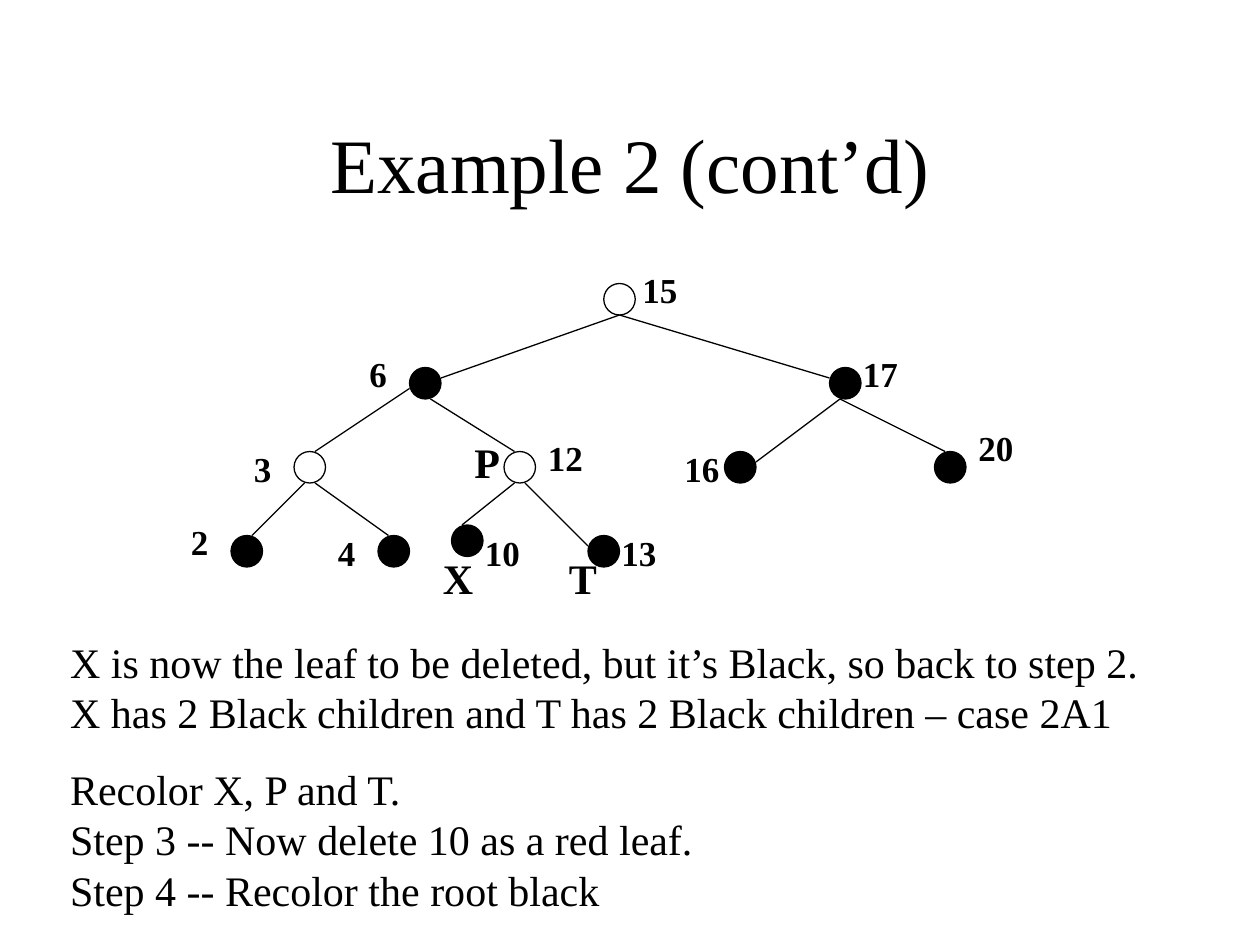
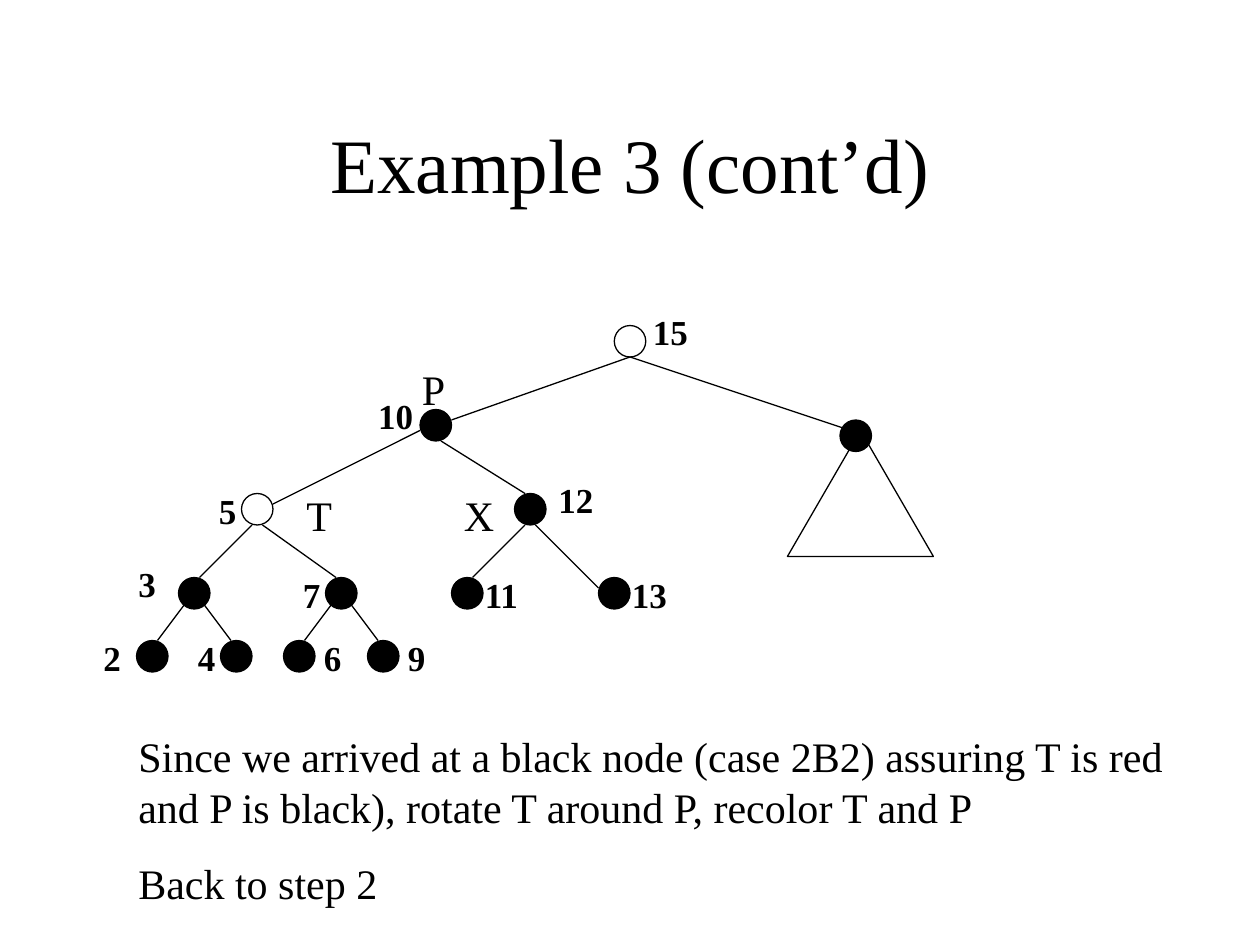
from pptx import Presentation
from pptx.dml.color import RGBColor
from pptx.enum.shapes import MSO_CONNECTOR, MSO_SHAPE
from pptx.enum.text import MSO_ANCHOR, PP_ALIGN
from pptx.oxml.ns import qn
from pptx.util import Inches, Pt
from lxml import etree

BLACK = RGBColor(0, 0, 0)
WHITE = RGBColor(255, 255, 255)
RED_NODE, BLACK_NODE = None, BLACK
FONT = "Times New Roman"
OVAL, TRIANGLE = MSO_SHAPE.OVAL, MSO_SHAPE.ISOSCELES_TRIANGLE
STRAIGHT = MSO_CONNECTOR.STRAIGHT
TOP, MIDDLE = MSO_ANCHOR.TOP, MSO_ANCHOR.MIDDLE
LEFT, CENTER = PP_ALIGN.LEFT, PP_ALIGN.CENTER

CELLS_PER_INCH = 12
COLUMNS, ROWS = 120, 90
NODE = 3
LINE_WIDTH = 0.75
TITLE_AREA = (9, 8, 102, 15)
LABEL_SIZE = (6, 5.25)
MARK_SIZE = (6, 6)

# Each node: key, position, colour, key position, edge from its parent
SLIDES = [
    {
        "title": "Example 2 (cont’d)",
        "subtrees": [],
        "nodes": [
            ("15", (57.5, 27), RED_NODE, (60, 25), None),
            ("6", (39, 35), BLACK_NODE, (34, 33), (59, 30, 42, 36)),
            ("17", (79, 35), BLACK_NODE, (81, 33), (59, 30, 79, 36)),
            ("3", (28, 43), RED_NODE, (23, 42), (39, 37, 30, 43)),
            ("12", (48, 43), RED_NODE, (51, 41), (41, 38, 49, 43)),
            ("16", (69, 43), BLACK_NODE, (64, 42), (80, 38, 72, 44)),
            ("20", (89, 43), BLACK_NODE, (92, 40), (80, 38, 90, 43)),
            ("2", (22, 51), BLACK_NODE, (17, 49), (29, 46, 24, 51)),
            ("4", (36, 51), BLACK_NODE, (31, 50), (30, 46, 37, 51)),
            ("10", (43, 50), BLACK_NODE, (45, 50), (49, 46, 44, 50)),
            ("13", (56, 51), BLACK_NODE, (58, 50), (50, 46, 56, 52)),
        ],
        "marks": [("P", (44, 41)), ("X", (41, 52)), ("T", (53, 52))],
        "bold_marks": True,
        "steps_area": (5.5, 60, 109, 27.7),
        "steps": [
            ["X is now the leaf to be deleted, but it’s Black, so back to step 2.",
             "X has 2 Black children and T has 2 Black children – case 2A1"],
            ["Recolor X, P and T.",
             "Step 3 -- Now delete 10 as a red leaf.",
             "Step 4 -- Recolor the root black"],
        ],
    },
    {
        "title": "Example 3 (cont’d)",
        "subtrees": [(75, 41, 13.9, 12)],
        "nodes": [
            ("15", (58.5, 31), RED_NODE, (61, 29), None),
            ("10", (40, 39), BLACK_NODE, (34.83, 37), (60, 34, 43, 40)),
            ("", (80, 40), BLACK_NODE, None, (60, 34, 81, 41)),
            ("5", (23, 47), RED_NODE, (19.67, 46), (40, 41, 26, 48)),
            ("12", (49, 47), BLACK_NODE, (52, 45), (42, 42, 50, 47)),
            ("3", (17, 55), BLACK_NODE, (12, 53), (24, 50, 19, 55)),
            ("7", (31, 55), BLACK_NODE, (27.67, 54), (25, 50, 32, 55)),
            ("11", (43, 55), BLACK_NODE, (45, 54), (50, 50, 45, 55)),
            ("13", (57, 55), BLACK_NODE, (59, 54), (51, 50, 57, 56)),
            ("2", (13, 61), BLACK_NODE, (8.67, 60), (18, 57, 15, 61)),
            ("4", (21, 61), BLACK_NODE, (17.67, 60), (19, 57, 22, 61)),
            ("6", (27, 61), BLACK_NODE, (29.67, 60), (32, 57, 29, 61)),
            ("9", (35, 61), BLACK_NODE, (37.67, 60), (33, 57, 36, 61)),
        ],
        "marks": [("P", (39, 34)), ("X", (43, 46)), ("T", (28, 46))],
        "bold_marks": False,
        "steps_area": (12, 69, 101, 18),
        "steps": [
            ["Since we arrived at a black node (case 2B2) assuring T is red "
             "and P is black), rotate T around P, recolor T and P"],
            ["Back to step 2"],
        ],
    },
]


def cells(*counts):
    return [Inches(count / CELLS_PER_INCH) for count in counts]


def add_text(page, area, paragraphs, size=24, bold=False, align=LEFT,
             anchor=TOP, space_before=0):
    box = page.shapes.add_textbox(*cells(*area))
    frame = box.text_frame
    frame.word_wrap = True
    frame.vertical_anchor = anchor
    for index, lines in enumerate(paragraphs):
        para = frame.add_paragraph() if index else frame.paragraphs[0]
        para.alignment = align
        para.space_before = Pt(space_before)
        for number, line in enumerate(lines):
            if number:
                para.add_line_break()
            span = para.add_run()
            span.text = line
            span.font.name = FONT
            span.font.size = Pt(size)
            span.font.bold = bold
            span.font.color.rgb = BLACK


def add_outline(page, kind, area, fill=None):
    shape = page.shapes.add_shape(kind, *cells(*area))
    shape.shadow.inherit = False
    if fill is None:
        shape.fill.background()
    else:
        shape.fill.solid()
        shape.fill.fore_color.rgb = fill
    shape.line.color.rgb = BLACK
    shape.line.width = Pt(LINE_WIDTH)


def add_edge(page, ends):
    edge = page.shapes.add_connector(STRAIGHT, *cells(*ends))
    edge.line.color.rgb = BLACK
    edge.line.width = Pt(LINE_WIDTH)
    etree.SubElement(edge._element.spPr, qn("a:effectLst"))


def build_slide(deck, content):
    page = deck.slides.add_slide(deck.slide_layouts[6])
    page.background.fill.solid()
    page.background.fill.fore_color.rgb = WHITE
    add_text(page, TITLE_AREA, [[content["title"]]], size=44,
             align=CENTER, anchor=MIDDLE)
    for area in content["subtrees"]:
        add_outline(page, TRIANGLE, area)
    for key, place, fill, key_place, edge in content["nodes"]:
        add_outline(page, OVAL, (*place, NODE, NODE), fill)
        if edge:
            add_edge(page, edge)
        if key:
            add_text(page, (*key_place, *LABEL_SIZE), [[key]], size=20,
                     bold=True, space_before=12.5)
    for mark, place in content["marks"]:
        add_text(page, (*place, *MARK_SIZE), [[mark]],
                 bold=content["bold_marks"], space_before=15)
    add_text(page, content["steps_area"], content["steps"], space_before=15)


def main():
    deck = Presentation()
    deck.slide_width, deck.slide_height = cells(COLUMNS, ROWS)
    for content in SLIDES:
        build_slide(deck, content)
    deck.save("out.pptx")


if __name__ == "__main__":
    main()
